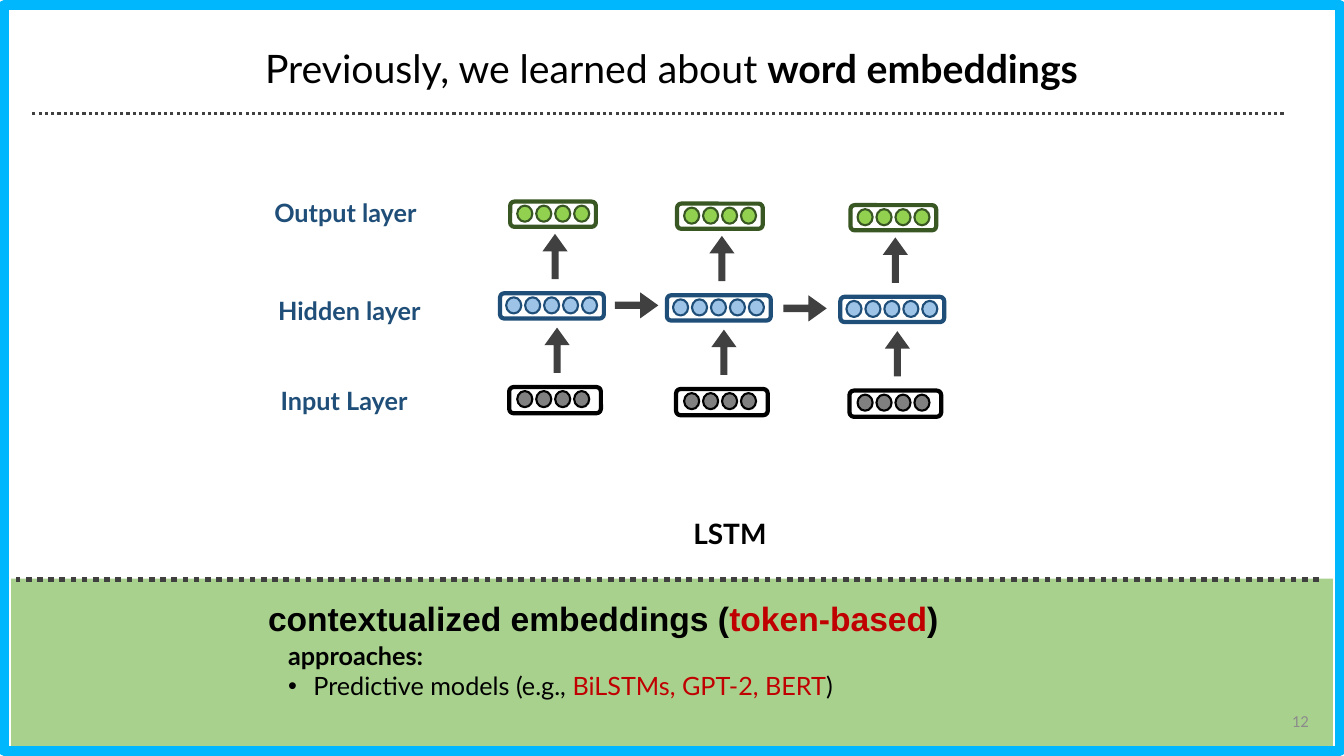
"""Build the slide on word embeddings, with an unrolled LSTM above a summary band."""
from dataclasses import dataclass

from lxml import etree
from pptx import Presentation
from pptx.dml.color import RGBColor
from pptx.enum.dml import MSO_LINE
from pptx.enum.shapes import MSO_CONNECTOR, MSO_SHAPE
from pptx.enum.text import MSO_ANCHOR, PP_ALIGN
from pptx.oxml.ns import qn
from pptx.util import Inches, Pt

RECT, ROUND = MSO_SHAPE.RECTANGLE, MSO_SHAPE.ROUNDED_RECTANGLE
OVAL, ARROW = MSO_SHAPE.OVAL, MSO_SHAPE.RIGHT_ARROW
LEFT, CENTER, RIGHT = PP_ALIGN.LEFT, PP_ALIGN.CENTER, PP_ALIGN.RIGHT
TOP, MIDDLE = MSO_ANCHOR.TOP, MSO_ANCHOR.MIDDLE
STRAIGHT, DOTTED = MSO_CONNECTOR.STRAIGHT, MSO_LINE.ROUND_DOT

COLUMNS, ROWS = 133.3, 75
WIDTH, HEIGHT = Inches(13.33), Inches(7.5)
COLORS = {
    "white": "FFFFFF", "black": "000000", "frame": "00B6FC", "band": "A9D18E",
    "dark": "404040", "red": "C00000", "navy": "1F4E79", "sky": "9DC3E6",
    "forest": "385723", "lime": "92D050", "gray": "808080", "number": "8C8C8C",
}


@dataclass(frozen=True)
class Area:
    """A rectangle in grid columns and rows."""
    left: float
    top: float
    width: float
    height: float


@dataclass(frozen=True)
class Span:
    """A stretch of text in one style."""
    text: str
    color: str = "black"
    bold: bool = True


@dataclass(frozen=True)
class Line:
    """A paragraph of spans, with or without a bullet."""
    spans: tuple[Span, ...]
    bullet: bool = False


@dataclass(frozen=True)
class TextBlock:
    """A text box with one font and size."""
    area: Area
    lines: tuple[Line, ...]
    size: int
    font: str = "Lato"
    align: PP_ALIGN = LEFT
    spacing: float = 1
    anchor: MSO_ANCHOR = TOP


@dataclass(frozen=True)
class Layer:
    """One network layer, placed from the left edge of a time step."""
    label: str
    label_area: Area
    frame: Area
    first_unit: float
    units: int
    fill: str
    outline: str


@dataclass(frozen=True)
class Step:
    """A time step of the network and its slight drop."""
    left: float
    drop: float


@dataclass(frozen=True)
class Divider:
    """A dotted rule running from right to left."""
    right: float
    left: float
    row: float
    weight: float


def one_line(*spans: Span) -> tuple[Line, ...]:
    """Wrap spans as a single paragraph."""
    return (Line(spans),)


LAYERS = (
    Layer("Input Layer", Area(24.7, 37.1, 16.7, 5.2), Area(0, 38.4, 9.1, 2.6),
          0.8, 4, "gray", "black"),
    Layer("Hidden layer", Area(23.7, 28.2, 19, 5.2), Area(-0.9, 29.1, 10.3, 2.5),
          -0.3, 5, "sky", "navy"),
    Layer("Output layer", Area(23.3, 18.5, 19, 5.2), Area(0.1, 20, 8.5, 2.5),
          0.8, 4, "lime", "forest"),
)
STEPS = (Step(50.5, 0), Step(67.05, 0.2), Step(84.25, 0.35))
UNIT = Area(0, 0.4, 1.5, 1.6)
UNIT_PITCH = 1.88
UP_ARROWS = (Area(2.3, 24.2, 4.5, 2.5), Area(2.5, 33.5, 4.5, 2.5))
SIDE_ARROWS = (Area(61, 29, 4.3, 2.6), Area(77.7, 29.3, 4.3, 2.6))
DIVIDERS = (Divider(127.3, 2.9, 11.3, 2.25), Divider(130.8, 1.6, 57.5, 4))
TEXTS = (
    TextBlock(Area(19.8, 1.6, 93.6, 9.9),
              one_line(Span("Previously, we learned about ", bold=False),
                       Span("word embeddings")), 28, align=CENTER, spacing=1.5),
    TextBlock(Area(100.8, 69.5, 30, 4), one_line(Span("12", "number", False)),
              12, "Calibri", RIGHT, anchor=MIDDLE),
    TextBlock(Area(25.6, 58.8, 80.1, 6.3),
              one_line(Span("contextualized embeddings ("),
                       Span("token-based", "red"), Span(")")), 24, "Arial"),
    TextBlock(Area(27.6, 63, 60.3, 10.4),
              (Line((Span("approaches:"),)),
               Line((Span("Predictive models (e.g., ", bold=False),
                     Span("BiLSTMs, GPT-2, BERT", "red", False),
                     Span(")", bold=False)), bullet=True)), 18),
    TextBlock(Area(64.5, 50.8, 15.8, 4.7), one_line(Span("LSTM")), 20, align=CENTER),
)


def rgb(name: str) -> RGBColor:
    """Look up a colour."""
    return RGBColor.from_string(COLORS[name])


def x(columns: float) -> int:
    """Convert grid columns to a length."""
    return round(WIDTH * columns / COLUMNS)


def y(rows: float) -> int:
    """Convert grid rows to a length."""
    return round(HEIGHT * rows / ROWS)


def bounds(area: Area) -> tuple[int, int, int, int]:
    """Convert an area to slide lengths."""
    return x(area.left), y(area.top), x(area.width), y(area.height)


def draw_shape(page, kind: MSO_SHAPE, area: Area, fill: str = "",
               outline: str = "", weight: float = 0):
    """Draw a preset shape, unfilled or unlined where no colour is given."""
    shape = page.shapes.add_shape(kind, *bounds(area))
    shape.shadow.inherit = False
    if fill:
        shape.fill.solid()
        shape.fill.fore_color.rgb = rgb(fill)
    else:
        shape.fill.background()
    if outline:
        shape.line.color.rgb = rgb(outline)
        shape.line.width = Pt(weight)
    else:
        shape.line.fill.background()
    return shape


def draw_arrow(page, area: Area, rotation: float = 0) -> None:
    """Draw a block arrow."""
    arrow = draw_shape(page, ARROW, area, "dark")
    arrow.adjustments[0], arrow.adjustments[1] = 0.276, 0.696
    arrow.rotation = rotation


def draw_divider(page, divider: Divider) -> None:
    """Draw a dotted rule."""
    row = y(divider.row)
    rule = page.shapes.add_connector(STRAIGHT, x(divider.right), row, x(divider.left), row)
    rule.line.color.rgb = rgb("dark")
    rule.line.width = Pt(divider.weight)
    rule.line.dash_style = DOTTED
    etree.SubElement(rule._element.spPr, qn("a:effectLst"))


def draw_text(page, block: TextBlock) -> None:
    """Draw a text box run by run."""
    box = page.shapes.add_textbox(*bounds(block.area))
    frame = box.text_frame
    frame.word_wrap = True
    frame.vertical_anchor = block.anchor
    for index, line in enumerate(block.lines):
        para = frame.add_paragraph() if index else frame.paragraphs[0]
        para.alignment = block.align
        para.line_spacing = block.spacing
        if line.bullet:
            properties = para._p.get_or_add_pPr()
            properties.set("marL", str(Inches(0.25)))
            properties.set("indent", str(-Inches(0.25)))
            etree.SubElement(properties, qn("a:buFont"), typeface="Arial")
            etree.SubElement(properties, qn("a:buChar"), char="•")
        for span in line.spans:
            run = para.add_run()
            run.text = span.text
            run.font.name = block.font
            run.font.size = Pt(block.size)
            run.font.bold = span.bold
            run.font.color.rgb = rgb(span.color)


def draw_step(page, step: Step) -> None:
    """Draw the layers of one time step and the arrows between them."""
    for layer in LAYERS:
        frame = layer.frame
        top = frame.top + step.drop
        draw_shape(page, ROUND, Area(step.left + frame.left, top, frame.width, frame.height),
                   outline=layer.outline, weight=3)
        for index in range(layer.units):
            left = step.left + layer.first_unit + index * UNIT_PITCH
            draw_shape(page, OVAL, Area(left, top + UNIT.top, UNIT.width, UNIT.height),
                       layer.fill, layer.outline, 1.5)
    for arrow in UP_ARROWS:
        draw_arrow(page, Area(step.left + arrow.left, arrow.top + step.drop,
                              arrow.width, arrow.height), 270)


def main() -> None:
    """Build and save the deck."""
    deck = Presentation()
    deck.slide_width, deck.slide_height = WIDTH, HEIGHT
    page = deck.slides.add_slide(deck.slide_layouts[6])
    draw_shape(page, RECT, Area(0.4, 0.5, 132.5, 74), "white", "frame", 7)
    draw_shape(page, RECT, Area(1.1, 57.4, 131.1, 16.6), "band")
    for divider in DIVIDERS:
        draw_divider(page, divider)
    for block in TEXTS:
        draw_text(page, block)
    for layer in LAYERS:
        draw_text(page, TextBlock(layer.label_area, one_line(Span(layer.label, "navy")),
                                  18, align=RIGHT, spacing=1.2))
    for step in STEPS:
        draw_step(page, step)
    for arrow in SIDE_ARROWS:
        draw_arrow(page, arrow)
    deck.save("out.pptx")


if __name__ == "__main__":
    main()
